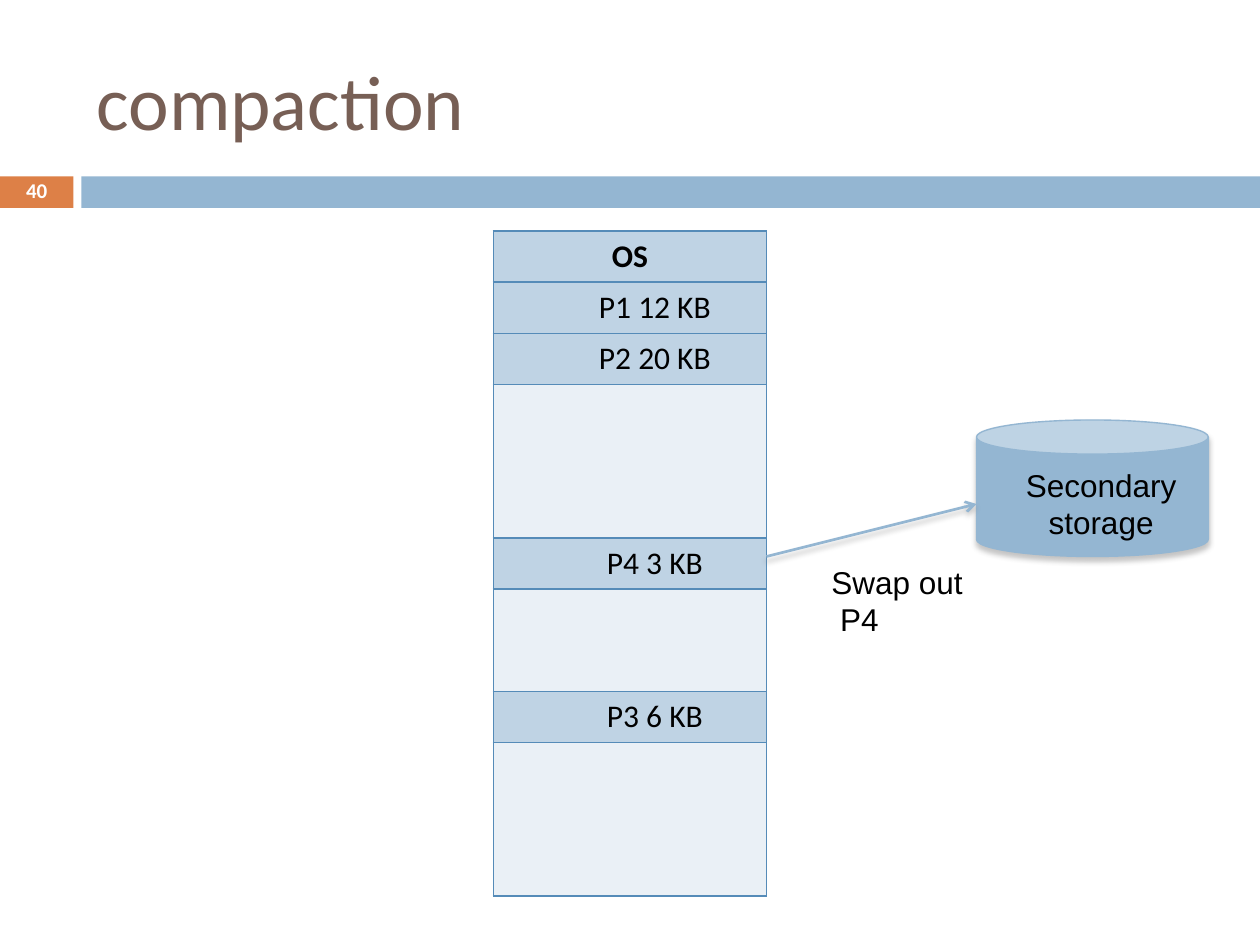
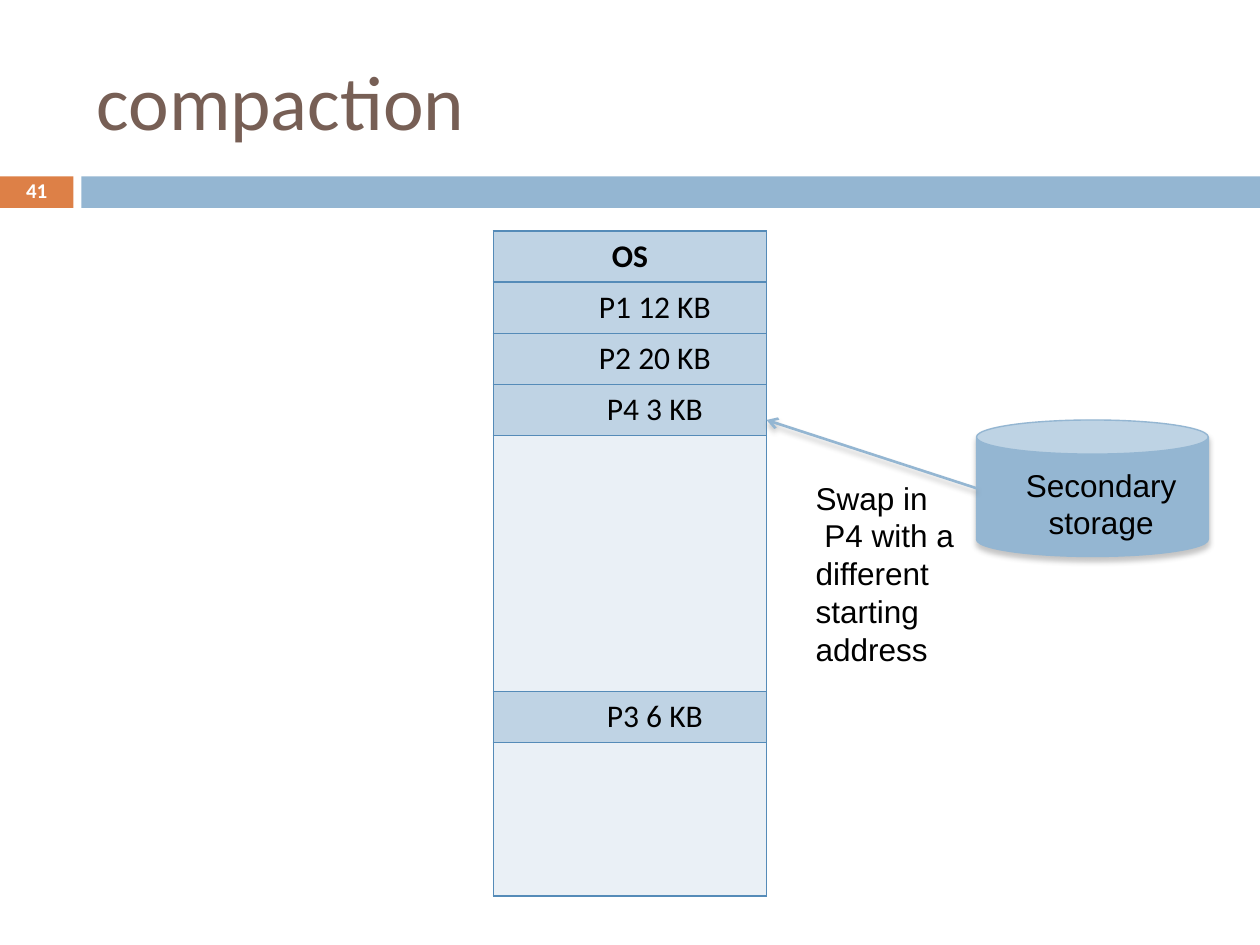
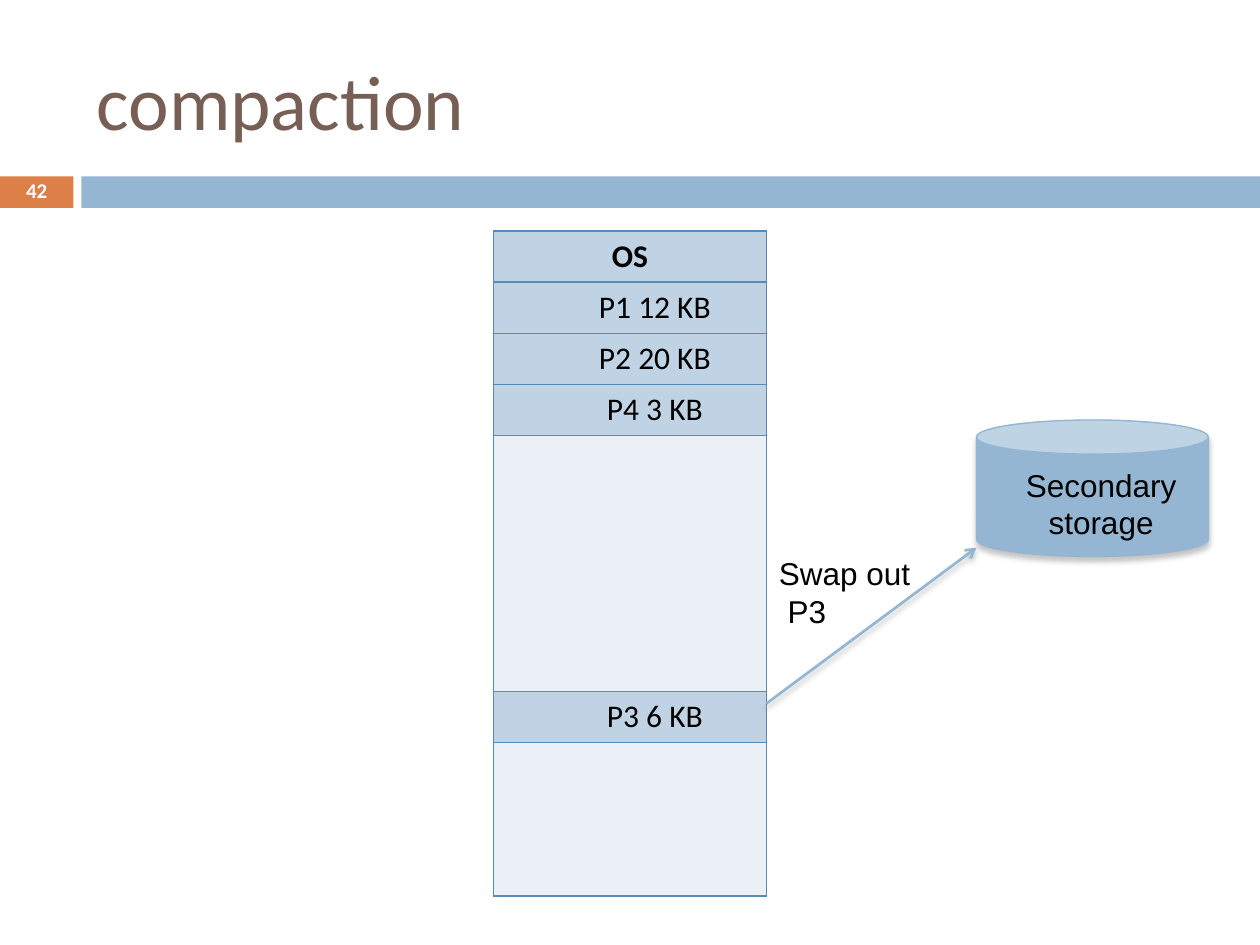
"""Build three slides that show memory compaction by swapping processes."""
from dataclasses import dataclass

from lxml import etree
from pptx import Presentation
from pptx.dml.color import RGBColor
from pptx.enum.shapes import MSO_CONNECTOR, MSO_SHAPE
from pptx.enum.text import MSO_ANCHOR, PP_ALIGN
from pptx.oxml import parse_xml
from pptx.oxml.ns import nsdecls, qn
from pptx.util import Pt

CAN, RECT = MSO_SHAPE.CAN, MSO_SHAPE.RECTANGLE
STRAIGHT = MSO_CONNECTOR.STRAIGHT
LEFT, CENTER = PP_ALIGN.LEFT, PP_ALIGN.CENTER
TOP, MIDDLE = MSO_ANCHOR.TOP, MSO_ANCHOR.MIDDLE
TITLE_ONLY = 5


@dataclass(frozen=True)
class Theme:
    """Colours, fonts and type sizes."""
    title: str = "775F55"
    accent: str = "DD8047"
    band: str = "94B6D2"
    used: str = "BFD3E4"
    free: str = "EAF0F6"
    border: str = "558BB8"
    shadow: str = "808080"
    text: str = "000000"
    light: str = "FFFFFF"
    heading_font: str = "Calibri"
    label_font: str = "Arial"
    title_size: int = 44
    body_size: int = 18
    number_size: int = 12


THEME = Theme()
TITLE = "compaction"
FIRST_NUMBER = 40
FREE = ""
P1, P2, P3, P4 = "P1 12 KB", "P2 20 KB", "P3 6 KB", "P4 3 KB"
BEFORE = ["OS", P1, P2, *[FREE] * 3, P4, *[FREE] * 2, P3, *[FREE] * 3]
AFTER = ["OS", P1, P2, P4, *[FREE] * 5, P3, *[FREE] * 3]
STORAGE = ["Secondary", "storage"]

MEMORY_LEFT, MEMORY_TOP, MEMORY_WIDTH, ROW_HEIGHT = 282, 132, 156, 29.25
MEMORY_RIGHT = MEMORY_LEFT + MEMORY_WIDTH
STORAGE_LEFT = 558
PROCESS_INDENT = 28.5
SECOND_LINE_INDENT = 5

STEPS = [
    {"memory": BEFORE, "note": ["Swap out", "P4"], "note_box": (468, 318, 120, 51),
     "start": (MEMORY_RIGHT, 318), "end": (STORAGE_LEFT, 288)},
    {"memory": AFTER, "note": ["Swap in", "P4 with a different starting address"],
     "note_box": (459, 270, 98.5, 117),
     "start": (STORAGE_LEFT, 279), "end": (MEMORY_RIGHT, 240)},
    {"memory": AFTER, "note": ["Swap out", "P3"], "note_box": (438, 313, 120, 51),
     "start": (MEMORY_RIGHT, 402), "end": (STORAGE_LEFT, 313)},
]


def points(*lengths):
    return [Pt(length) for length in lengths]


def color(value):
    return RGBColor.from_string(value)


def write(frame, lines, size=THEME.body_size, font=THEME.label_font, ink=THEME.text,
          bold=False, align=LEFT, anchor=TOP, spacing=None, later_indent=0):
    """Fill a text frame with one paragraph a line."""
    frame.word_wrap = True
    frame.vertical_anchor = anchor
    for index, line in enumerate(lines):
        paragraph = frame.paragraphs[0] if index == 0 else frame.add_paragraph()
        paragraph.alignment = align
        if spacing:
            paragraph.line_spacing = spacing
        if index and later_indent:
            paragraph._p.get_or_add_pPr().set("indent", str(Pt(later_indent)))
        run = paragraph.add_run()
        run.text = line
        run.font.size, run.font.name, run.font.bold = Pt(size), font, bold
        run.font.color.rgb = color(ink)


def add_label(slide, box, lines, **text_format):
    label = slide.shapes.add_textbox(*points(*box))
    write(label.text_frame, lines, **text_format)
    return label


def add_shadow(part):
    part.element.spPr.append(parse_xml(
        f'<a:effectLst {nsdecls("a")}><a:outerShdw blurRad="{Pt(3)}" dist="{Pt(2.4)}" '
        f'dir="5400000" rotWithShape="0"><a:srgbClr val="{THEME.shadow}">'
        '<a:alpha val="45000"/></a:srgbClr></a:outerShdw></a:effectLst>'))


def add_bands(slide):
    """Draw the bands once and hand them to the layout."""
    layout_tree = slide.slide_layout.placeholders[0].element.getparent()
    for left, width, fill in ((0, 42, THEME.accent), (46.5, 673.5, THEME.band)):
        band = slide.shapes.add_shape(RECT, *points(left, 100.8, width, 18))
        band.shadow.inherit = False
        band.fill.solid()
        band.fill.fore_color.rgb = color(fill)
        band.line.fill.background()
        layout_tree.append(band.element)


def add_title(slide):
    title = slide.shapes.title
    title.left, title.top, title.width, title.height = points(48, 18, 642, 78)
    write(title.text_frame, [TITLE], size=THEME.title_size, font=THEME.heading_font,
          ink=THEME.title, anchor=MIDDLE)


def set_borders(cell, hidden):
    properties = cell._tc.get_or_add_tcPr()
    for index, side in enumerate("LRTB"):
        paint = ("<a:noFill/>" if side in hidden else
                 f'<a:solidFill><a:srgbClr val="{THEME.border}"/></a:solidFill>')
        properties.insert(index, parse_xml(
            f'<a:ln{side} {nsdecls("a")} w="{Pt(1)}">{paint}</a:ln{side}>'))


def add_memory(slide, blocks):
    """Draw memory as a column, with no rules inside a free hole."""
    table = slide.shapes.add_table(len(blocks), 1, *points(
        MEMORY_LEFT, MEMORY_TOP, MEMORY_WIDTH, ROW_HEIGHT * len(blocks))).table
    table.first_row = table.horz_banding = False
    for index, block in enumerate(blocks):
        table.rows[index].height = Pt(ROW_HEIGHT)
        cell = table.cell(index, 0)
        cell.fill.solid()
        cell.fill.fore_color.rgb = color(THEME.used if block else THEME.free)
        hidden = ""
        if block:
            is_system = index == 0
            if not is_system:
                cell.margin_left = Pt(7.2 + PROCESS_INDENT)
            write(cell.text_frame, [block], font=THEME.heading_font,
                  bold=is_system, align=CENTER)
        else:
            if blocks[index - 1] == FREE:
                hidden += "T"
            if blocks[index + 1:index + 2] == [FREE]:
                hidden += "B"
        set_borders(cell, hidden)


def add_storage(slide):
    disk = slide.shapes.add_shape(CAN, *points(STORAGE_LEFT, 240, 132.5, 78))
    disk.fill.solid()
    disk.fill.fore_color.rgb = disk.line.color.rgb = color(THEME.band)
    disk.line.width = Pt(0.79)
    add_shadow(disk)
    add_label(slide, (578.25, 262.5, 102, 51), STORAGE, align=CENTER)


def add_swap_arrow(slide, start, end):
    arrow = slide.shapes.add_connector(STRAIGHT, *points(*start, *end))
    arrow.line.color.rgb = color(THEME.band)
    arrow.line.width = Pt(1.5)
    outline = arrow.element.spPr.find(qn("a:ln"))
    etree.SubElement(outline, qn("a:tailEnd"), type="arrow")
    add_shadow(arrow)


def add_number(slide, number):
    label = add_label(slide, (0, 100, 42, 19.5), [str(number)], size=THEME.number_size,
                      font=THEME.heading_font, ink=THEME.light, bold=True,
                      align=CENTER, anchor=MIDDLE, spacing=0.8)
    label.text_frame.margin_top = label.text_frame.margin_bottom = 0


def main():
    deck = Presentation()
    deck.slide_width, deck.slide_height = points(720, 540)
    for index, step in enumerate(STEPS):
        slide = deck.slides.add_slide(deck.slide_layouts[TITLE_ONLY])
        if index == 0:
            add_bands(slide)
        add_title(slide)
        add_memory(slide, step["memory"])
        add_storage(slide)
        add_swap_arrow(slide, step["start"], step["end"])
        add_label(slide, step["note_box"], step["note"], later_indent=SECOND_LINE_INDENT)
        add_number(slide, FIRST_NUMBER + index)
    deck.save("out.pptx")


if __name__ == "__main__":
    main()
